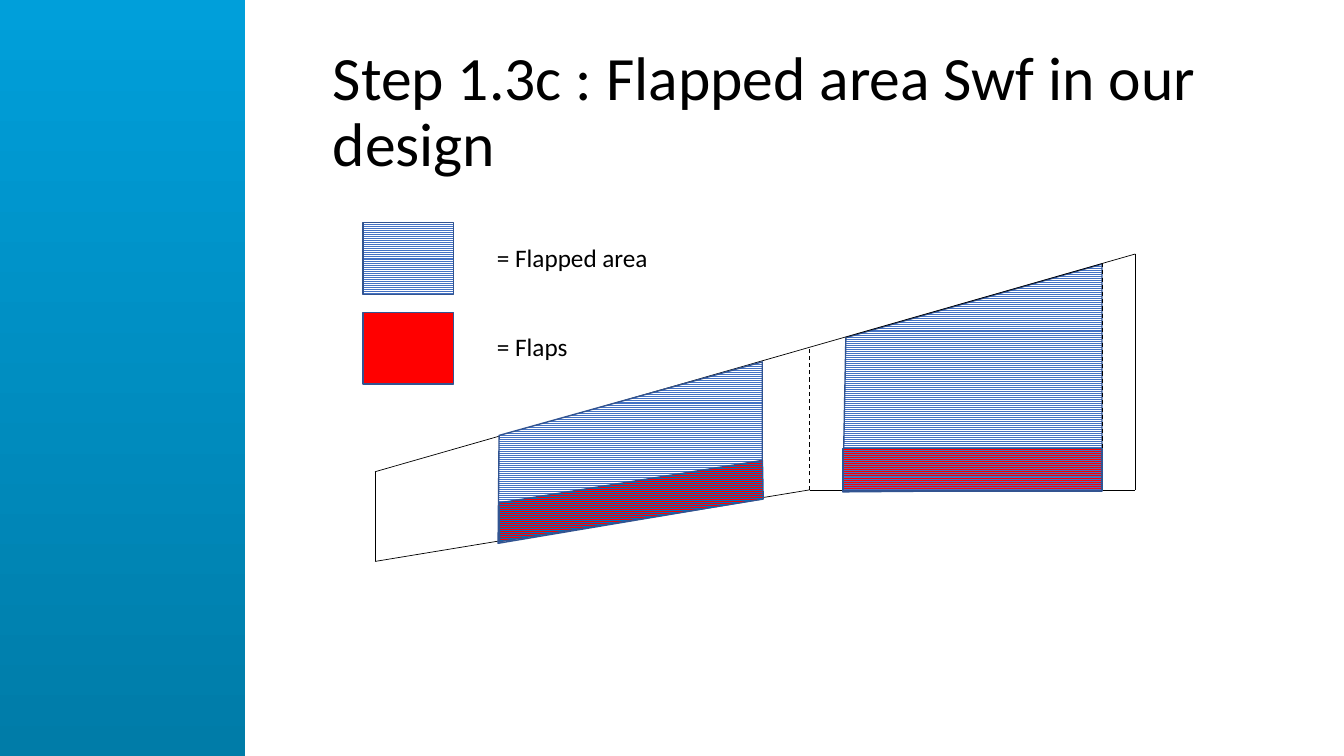
from lxml.etree import SubElement
from pptx import Presentation
from pptx.dml.color import RGBColor
from pptx.enum.dml import MSO_LINE as Dash, MSO_PATTERN as Pat
from pptx.enum.shapes import MSO_CONNECTOR as Link, MSO_SHAPE as Kind
from pptx.enum.text import MSO_ANCHOR as Anchor, MSO_AUTO_SIZE as Fit, PP_ALIGN as Align
from pptx.oxml.ns import qn
from pptx.util import Pt

PX = 9144
BLUE, EDGE, WHITE, RED, BLACK = "4472C4", "325491", "FFFFFF", "FF0000", "000000"


def px(*sizes):
    """Turn px lengths into EMU."""
    return [size * PX for size in sizes]


def tint(color, code):
    """Set a color from a hex string."""
    color.rgb = RGBColor.from_string(code)


def paint(shape, back, front=None):
    """Fill a shape, striped if a front color is given, and outline it."""
    shape.shadow.inherit = False
    if front:
        shape.fill.patterned()
        shape.fill.pattern = Pat.LIGHT_HORIZONTAL
        tint(shape.fill.fore_color, front)
        tint(shape.fill.back_color, back)
    else:
        shape.fill.solid()
        tint(shape.fill.fore_color, back)
    tint(shape.line.color, EDGE)
    shape.line.width = Pt(1)


def style(frame, size):
    """Format all runs of a text frame."""
    for para in frame.paragraphs:
        para.alignment = Align.LEFT
        for run in para.runs:
            run.font.name = "Calibri"
            run.font.size = Pt(size)
            tint(run.font.color, BLACK)


def rule(slide, x, y, start, end, dashed=False):
    """Draw a thin line between two points offset from x, y."""
    line = slide.shapes.add_connector(
        Link.STRAIGHT, *px(x + start[0], y + start[1], x + end[0], y + end[1]))
    tint(line.line.color, BLACK)
    line.line.width = Pt(0.75 if dashed else 0.5)
    if dashed:
        line.line.dash_style = Dash.DASH
    SubElement(line._element.spPr, qn("a:effectLst"))


def zone(slide, x, y, points):
    """Draw a striped flapped area from points offset from x, y."""
    spots = [(x + a, y + b) for a, b in points]
    form = slide.shapes.build_freeform(*spots[0], scale=PX)
    form.add_line_segments(spots[1:], close=True)
    paint(form.convert_to_shape(), WHITE, BLUE)


def sidebar(slide, x, y, w, h):
    """Draw the gradient band."""
    band = slide.shapes.add_shape(Kind.RECTANGLE, *px(x, y, w, h))
    band.shadow.inherit = False
    band.line.fill.background()
    band.fill.gradient()
    band.fill.gradient_angle = 270
    for stop, code in zip(band.fill.gradient_stops, ("009FDA", "007CA8")):
        tint(stop.color, code)


def heading(slide, x, y, w, h):
    """Place and format the title."""
    title = slide.shapes.title
    title.left, title.top, title.width, title.height = px(x, y, w, h)
    frame = title.text_frame
    frame.text = "Step 1.3c : Flapped area Swf in our design"
    frame.word_wrap = True
    frame.auto_size = Fit.NONE
    frame.vertical_anchor = Anchor.MIDDLE
    frame.paragraphs[0].line_spacing = 0.9
    style(frame, 44)


def legend(slide, x, y, w, h):
    """Stack the swatches with their labels in the box."""
    tall, step = 71, h - 71
    rows = (("= Flapped area", WHITE, BLUE), ("= Flaps", RED, None))
    for i, (label, back, front) in enumerate(rows):
        top = y + i * step
        swatch = slide.shapes.add_shape(Kind.RECTANGLE, *px(x, top, 90, tall))
        paint(swatch, back, front)
        note = slide.shapes.add_textbox(*px(x + 123, top + 14, w - 123, 40))
        note.text_frame.word_wrap = True
        note.text_frame.text = label
        style(note.text_frame, 18)


def wing(slide, x, y, w, h):
    """Draw the wing outline, flapped areas and flaps in the box."""
    kink, aft, end = 431, 234, 721
    zone(slide, x, y, ((464, 236), (467, 83), (end, 10), (end, aft)))
    outline = ((w, aft), (w, 0), (0, 216), (0, h), (kink, aft), (w, aft))
    for start, stop in zip(outline, outline[1:]):
        rule(slide, x, y, start, stop)
    rule(slide, x, y, (end, 9), (end, aft), True)
    flap = slide.shapes.add_shape(Kind.RECTANGLE, *px(x + 464, y + 193, 257, 42))
    paint(flap, RED, BLUE)
    rule(slide, x, y, (kink, aft), (kink, 93), True)
    zone(slide, x, y, ((122, 287), (123, 180), (384, 107), (384, 243)))
    flap = slide.shapes.add_shape(Kind.PARALLELOGRAM, *px(x + 119, y + 226, 270, 38))
    flap.adjustments[0] = 0.14
    flap.rotation = -9.2
    paint(flap, RED, "0070C0")


def main():
    """Build and save the slide."""
    deck = Presentation()
    deck.slide_width, deck.slide_height = px(1333, 750)
    slide = deck.slides.add_slide(deck.slide_layouts[5])
    sidebar(slide, 0, 0, 243, 750)
    heading(slide, 320, 40, 922, 145)
    wing(slide, 372, 252, 754, 305)
    legend(slide, 360, 221, 364, 160)
    deck.save("out.pptx")


if __name__ == "__main__":
    main()
